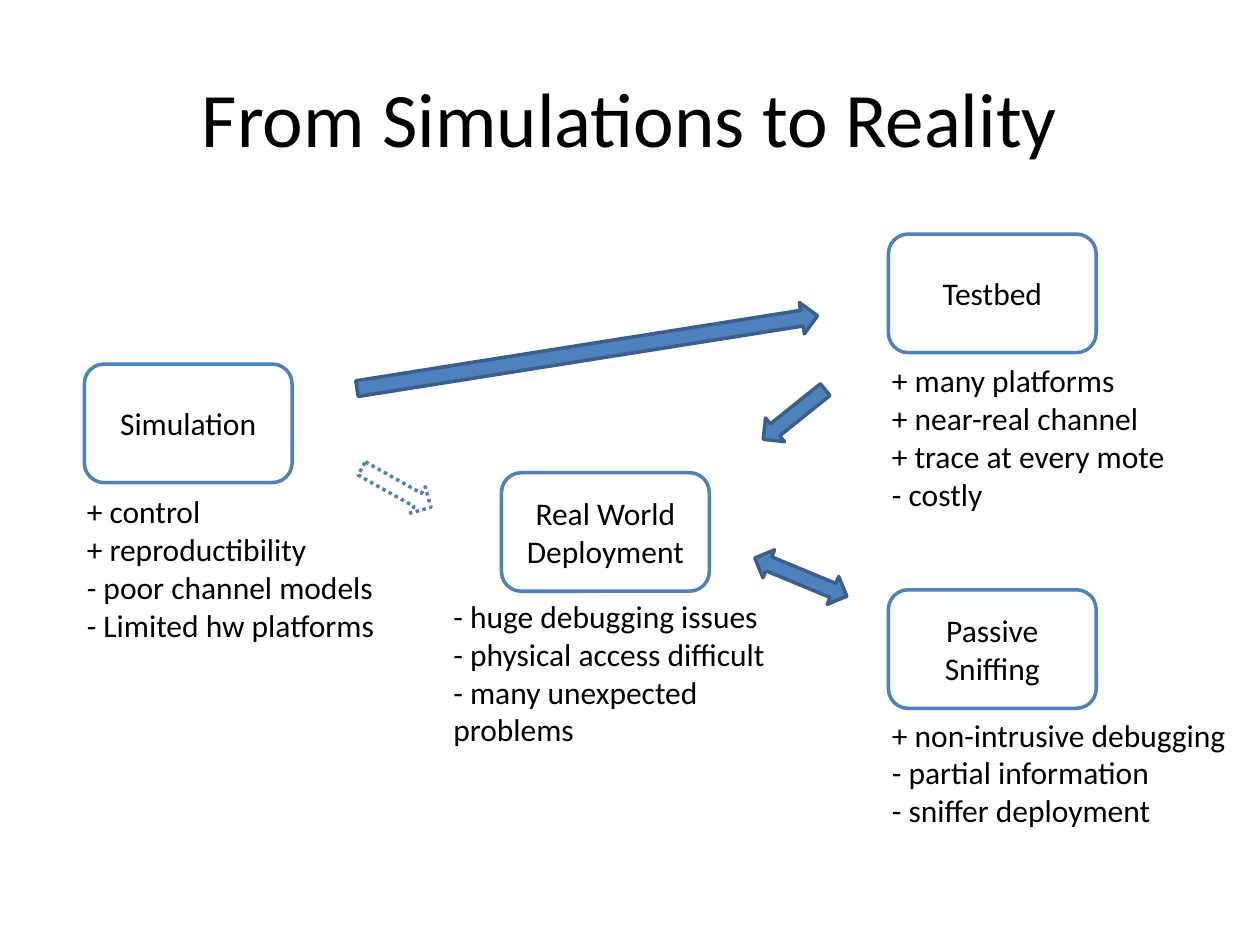
from pptx import Presentation
from pptx.dml.color import RGBColor
from pptx.enum import dml, shapes, text
from pptx.util import Cm, Pt

BLACK = RGBColor(0x00, 0x00, 0x00)
WHITE = RGBColor(0xFF, 0xFF, 0xFF)
BLUE = RGBColor(0x4F, 0x81, 0xBD)
DARK_BLUE = RGBColor(0x3A, 0x5F, 0x8C)

BOX_W, BOX_H = 4.19, 2.39
RIGHT_BOX_X, RIGHT_NOTE_X = 17.91, 17.73
NOTE_W = 7.39
RIGHT_ARROW = shapes.MSO_SHAPE.RIGHT_ARROW
DOUBLE_ARROW = shapes.MSO_SHAPE.LEFT_RIGHT_ARROW

BODY_FONT = {"name": "Calibri", "size": Pt(18)}
TITLE_FONT = {"name": "Calibri", "size": Pt(44)}

BOXES = [
    (["Simulation"], 1.7, 7.34),
    (["Testbed"], RIGHT_BOX_X, 4.72),
    (["Real World", "Deployment"], 10.11, 9.53),
    (["Passive Sniffing"], RIGHT_BOX_X, 11.89),
]

NOTES = [
    (["+ control", "+ reproductibility", "- poor channel models",
      "- Limited hw platforms"], 1.5, 9.8, NOTE_W, 3.33),
    (["+ many platforms", "+ near-real channel", "+ trace at every mote",
      "- costly"], RIGHT_NOTE_X, 7.16, 6.63, 4.11),
    (["- huge debugging issues", "- physical access difficult",
      "- many unexpected problems"], 8.89, 11.91, NOTE_W, 3.33),
    (["+ non-intrusive debugging", "- partial information",
      "- sniffer deployment"], RIGHT_NOTE_X, 14.3, NOTE_W, 2.57),
]

ARROWS = [
    (RIGHT_ARROW, 7.14, 6.78, 9.4, 0.64, 351),
    (RIGHT_ARROW, 15.21, 8.05, 1.6, 0.61, 141.3),
    (DOUBLE_ARROW, 15.14, 11.33, 2.01, 0.61, 22.5),
]


def write_lines(tf, lines, font, align):
    for i, line in enumerate(lines):
        p = tf.paragraphs[0] if i == 0 else tf.add_paragraph()
        p.alignment = align
        r = p.add_run()
        r.text = line
        for name, value in font.items():
            setattr(r.font, name, value)
        r.font.color.rgb = BLACK


def add_title(s, title):
    sp = s.shapes.title
    place = {"left": 1.27, "top": 0.76, "width": 22.86, "height": 3.18}
    for name, value in place.items():
        setattr(sp, name, Cm(value))
    sp.text_frame.vertical_anchor = text.MSO_ANCHOR.MIDDLE
    write_lines(sp.text_frame, [title], TITLE_FONT, text.PP_ALIGN.CENTER)


def add_shape(s, kind, x, y, w, h, fill, line):
    sp = s.shapes.add_shape(kind, Cm(x), Cm(y), Cm(w), Cm(h))
    sp.shadow.inherit = False
    sp.fill.solid()
    sp.fill.fore_color.rgb = fill
    sp.line.color.rgb = line
    sp.line.width = Pt(2)
    return sp


def add_box(s, lines, x, y):
    sp = add_shape(s, shapes.MSO_SHAPE.ROUNDED_RECTANGLE, x, y, BOX_W, BOX_H,
                   WHITE, BLUE)
    sp.text_frame.word_wrap = True
    sp.text_frame.vertical_anchor = text.MSO_ANCHOR.MIDDLE
    write_lines(sp.text_frame, lines, BODY_FONT, text.PP_ALIGN.CENTER)


def add_note(s, lines, x, y, w, h):
    tf = s.shapes.add_textbox(Cm(x), Cm(y), Cm(w), Cm(h)).text_frame
    tf.word_wrap = True
    tf.auto_size = text.MSO_AUTO_SIZE.SHAPE_TO_FIT_TEXT
    write_lines(tf, lines, BODY_FONT, text.PP_ALIGN.LEFT)


def add_arrow(s, kind, x, y, w, h, rotation, fill=BLUE, line=DARK_BLUE):
    sp = add_shape(s, kind, x, y, w, h, fill, line)
    sp.rotation = rotation
    return sp


def main():
    prs = Presentation()
    prs.slide_width, prs.slide_height = Cm(25.4), Cm(19.05)
    s = prs.slides.add_slide(prs.slide_layouts[5])
    add_title(s, "From Simulations to Reality")
    for box in BOXES:
        add_box(s, *box)
    for note in NOTES:
        add_note(s, *note)
    dotted = add_arrow(s, RIGHT_ARROW, 7.19, 9.53, 1.6, 0.61, 29.3, WHITE, BLUE)
    dotted.line.dash_style = dml.MSO_LINE.ROUND_DOT
    for arrow in ARROWS:
        add_arrow(s, *arrow)
    prs.save("out.pptx")


if __name__ == "__main__":
    main()
